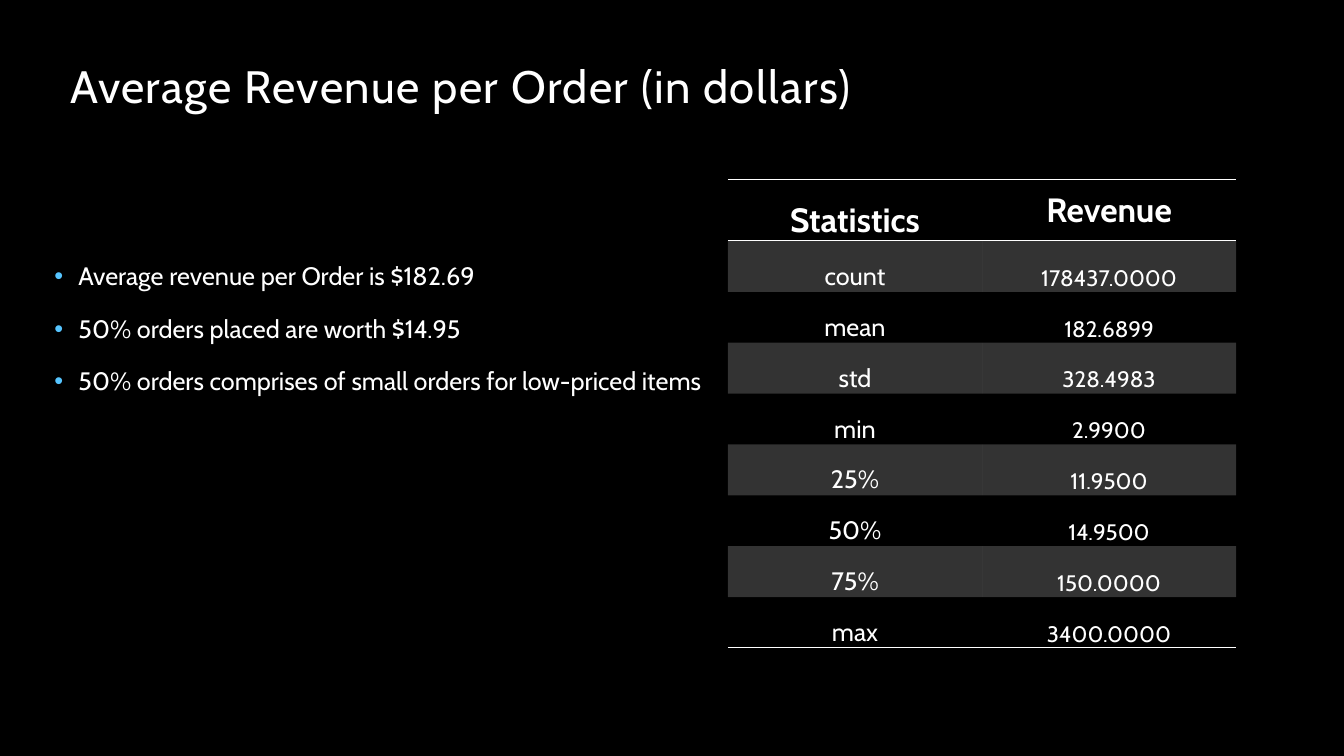
from typing import NamedTuple

from lxml import etree
from pptx import Presentation
from pptx.dml.color import RGBColor
from pptx.enum.text import MSO_ANCHOR, PP_ALIGN
from pptx.oxml.ns import qn
from pptx.util import Inches, Pt

BOTTOM, MIDDLE, TOP = MSO_ANCHOR.BOTTOM, MSO_ANCHOR.MIDDLE, MSO_ANCHOR.TOP
CENTER = PP_ALIGN.CENTER
FONT = "Cabin"
COLORS = {"background": "000000", "text": "FFFFFF", "bullet": "56C5FF",
          "rule": "FFFFFF", "band": "FFFFFF"}
BAND_OPACITY = 20
PLAIN_TABLE_STYLE = "{2D5ABB26-0587-4C30-8999-92F81FD0307C}"
TABLE_HEIGHT, HEADER_HEIGHT = 4.65, 0.61


class Box(NamedTuple):
    left: float
    top: float
    width: float
    height: float


class Statistic(NamedTuple):
    label: str
    revenue: str


HEADING = "Average Revenue per Order (in dollars)"
FINDINGS = [
    "Average revenue per Order is $182.69",
    "50% orders placed are worth $14.95",
    "50% orders comprises of small orders for low-priced items",
]
HEADER = Statistic("Statistics", "Revenue")
STATISTICS = [
    Statistic("count", "178437.0000"),
    Statistic("mean", "182.6899"),
    Statistic("std", "328.4983"),
    Statistic("min", "2.9900"),
    Statistic("25%", "11.9500"),
    Statistic("50%", "14.9500"),
    Statistic("75%", "150.0000"),
    Statistic("max", "3400.0000"),
]


def rgb(name: str) -> RGBColor:
    return RGBColor.from_string(COLORS[name])


def style_font(paragraph, size: float, bold: bool = False) -> None:
    font = paragraph.font
    font.name, font.size, font.bold = FONT, Pt(size), bold
    font.color.rgb = rgb("text")


def add_text_frame(slide, box: Box, anchor):
    frame = slide.shapes.add_textbox(*map(Inches, box)).text_frame
    frame.word_wrap = True
    frame.vertical_anchor = anchor
    return frame


def add_heading(slide) -> None:
    frame = add_text_frame(slide, Box(0.6, 0.04, 11.14, 1.13), BOTTOM)
    paragraph = frame.paragraphs[0]
    paragraph.text = HEADING
    paragraph.line_spacing = 0.9
    style_font(paragraph, 32.4)
    paragraph.runs[0].font._element.set("spc", "100")


def add_bullet(paragraph) -> None:
    properties = paragraph._p.get_or_add_pPr()
    properties.set("marL", str(Inches(0.24)))
    properties.set("indent", str(Inches(-0.24)))
    color = etree.SubElement(properties, qn("a:buClr"))
    etree.SubElement(color, qn("a:srgbClr"), val=COLORS["bullet"])
    etree.SubElement(properties, qn("a:buFont"), typeface="Arial")
    etree.SubElement(properties, qn("a:buChar"), char="•")


def add_findings(slide) -> None:
    frame = add_text_frame(slide, Box(0.44, 2.57, 6.77, 3.31), TOP)
    for index, finding in enumerate(FINDINGS):
        paragraph = frame.add_paragraph() if index else frame.paragraphs[0]
        paragraph.text = finding
        add_bullet(paragraph)
        paragraph.line_spacing = 0.9
        if index:
            paragraph.space_before = Pt(18)
        style_font(paragraph, 18)


def add_rules(cell, sides: list[str]) -> None:
    """Draw the cell's borders; sides are lnT and lnB, in that order."""
    properties = cell._tc.get_or_add_tcPr()
    for position, side in enumerate(sides):
        line = etree.Element(qn(f"a:{side}"), w=str(Pt(1)))
        fill = etree.SubElement(line, qn("a:solidFill"))
        etree.SubElement(fill, qn("a:srgbClr"), val=COLORS["rule"])
        properties.insert(position, line)


def fill_cell(cell, banded: bool) -> None:
    if not banded:
        cell.fill.background()
        return
    cell.fill.solid()
    cell.fill.fore_color.rgb = rgb("band")
    color = cell._tc.tcPr.find(".//" + qn("a:srgbClr"))
    etree.SubElement(color, qn("a:alpha"), val=str(BAND_OPACITY * 1000))


def write_cell(cell, text: str, size: float, bold: bool, anchor) -> None:
    cell.margin_left = cell.margin_right = cell.margin_top = Inches(0.01)
    cell.margin_bottom = 0
    cell.vertical_anchor = anchor
    paragraph = cell.text_frame.paragraphs[0]
    paragraph.text = text
    paragraph.alignment = CENTER
    style_font(paragraph, size, bold)


def add_statistics(slide) -> None:
    rows = [HEADER, *STATISTICS]
    box = Box(7.22, 1.78, 5.04, TABLE_HEIGHT)
    table = slide.shapes.add_table(len(rows), 2, *map(Inches, box)).table
    table._tbl.tblPr.find(qn("a:tableStyleId")).text = PLAIN_TABLE_STYLE
    table.first_row = table.horz_banding = False
    row_height = (TABLE_HEIGHT - HEADER_HEIGHT) / len(STATISTICS)

    for row, statistic in enumerate(rows):
        is_header = row == 0
        table.rows[row].height = Inches(HEADER_HEIGHT if is_header else row_height)
        for column, text in enumerate(statistic):
            cell = table.cell(row, column)
            size = 24 if is_header else (18, 16)[column]
            anchor = MIDDLE if is_header and column == 1 else BOTTOM
            write_cell(cell, text, size, is_header, anchor)
            fill_cell(cell, banded=row % 2 == 1)
            if is_header:
                add_rules(cell, ["lnT", "lnB"])
            elif row == len(STATISTICS):
                add_rules(cell, ["lnB"])


def main() -> None:
    presentation = Presentation()
    presentation.slide_width = Inches(13.33)
    presentation.slide_height = Inches(7.5)
    slide = presentation.slides.add_slide(presentation.slide_layouts[6])
    slide.background.fill.solid()
    slide.background.fill.fore_color.rgb = rgb("background")
    add_heading(slide)
    add_findings(slide)
    add_statistics(slide)
    presentation.save("out.pptx")


if __name__ == "__main__":
    main()
